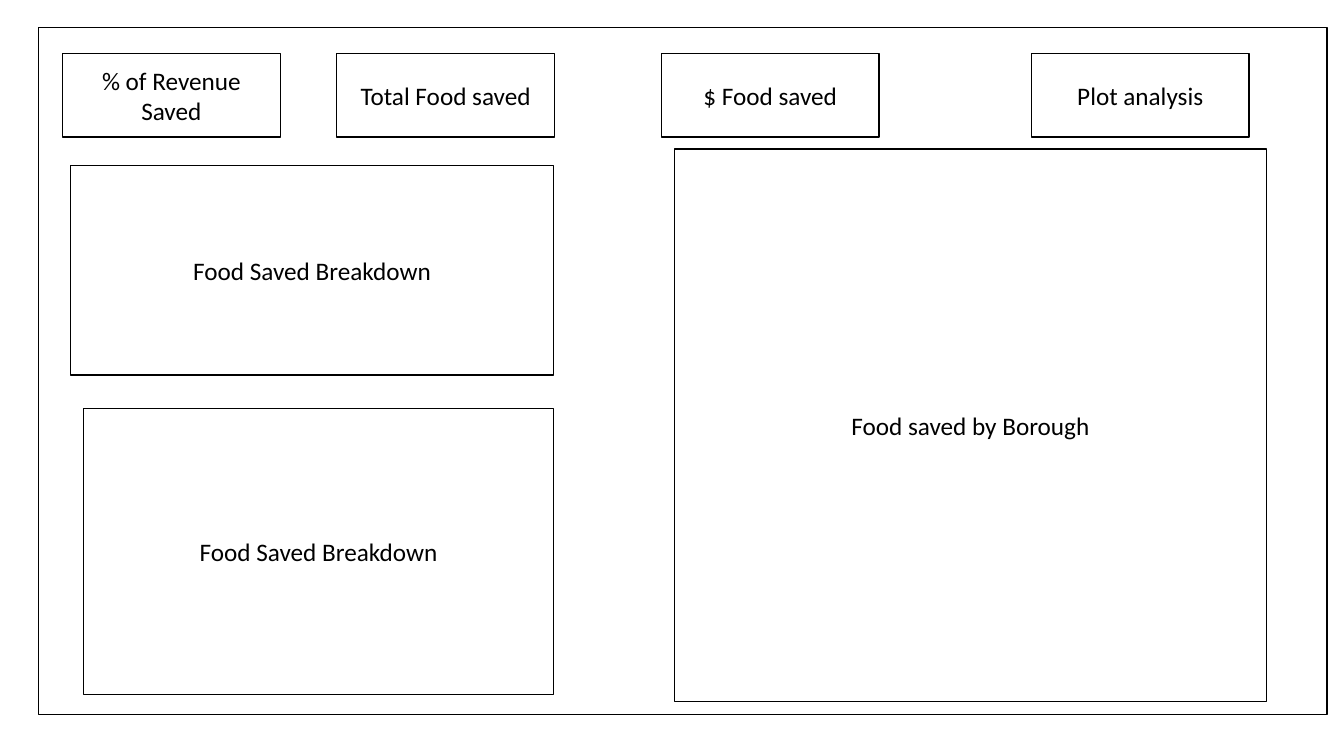
from pptx import Presentation
from pptx.dml.color import RGBColor
from pptx.enum.shapes import MSO_SHAPE
from pptx.enum.text import MSO_ANCHOR, PP_ALIGN
from pptx.util import Inches, Pt

RECTANGLE = MSO_SHAPE.RECTANGLE
MIDDLE = MSO_ANCHOR.MIDDLE
CENTER = PP_ALIGN.CENTER

COLORS = {"panel": "FFFFFF", "ink": "000000"}
FONT = "Calibri"

FRAME = (0.38, 0.27, 12.78, 6.82)
CARD_ROW = (0.24, 0.26, 2.16, 0.83)
CARDS = [
    (0, "% of Revenue Saved"),
    (2.72, "Total Food saved"),
    (5.94, "$ Food saved"),
    (9.61, "Plot analysis"),
]
CHART_PANELS = [
    ((6.31, 1.21, 5.87, 5.48), "Food saved by Borough"),
    ((0.32, 1.37, 4.79, 2.08), "Food Saved Breakdown"),
    ((0.45, 3.78, 4.66, 2.84), "Food Saved Breakdown"),
]


def add_panel(slide, box, label=""):
    """Draw an outlined rectangle with an optional centred label."""
    shape = slide.shapes.add_shape(RECTANGLE, *map(Inches, box))
    shape.shadow.inherit = False
    shape.fill.solid()
    shape.fill.fore_color.rgb = RGBColor.from_string(COLORS["panel"])
    shape.line.color.rgb = RGBColor.from_string(COLORS["ink"])
    shape.line.width = Pt(1)
    if label:
        text_frame = shape.text_frame
        text_frame.word_wrap = True
        text_frame.vertical_anchor = MIDDLE
        paragraph = text_frame.paragraphs[0]
        paragraph.text = label
        paragraph.alignment = CENTER
        paragraph.font.name = FONT
        paragraph.font.size = Pt(18)
        paragraph.font.color.rgb = RGBColor.from_string(COLORS["ink"])


def add_card_row(slide, box):
    """Place the metric cards along the top of the given frame."""
    left, top, width, height = CARD_ROW
    for offset, label in CARDS:
        add_panel(slide, (box[0] + left + offset, box[1] + top, width, height), label)


def add_chart_panels(slide, box):
    """Place the chart areas inside the given frame."""
    for (left, top, width, height), label in CHART_PANELS:
        add_panel(slide, (box[0] + left, box[1] + top, width, height), label)


def add_dashboard(slide, box):
    """Draw the dashboard frame with its cards and chart areas."""
    add_panel(slide, box)
    add_card_row(slide, box)
    add_chart_panels(slide, box)


def main():
    """Build and save the dashboard wireframe."""
    presentation = Presentation()
    presentation.slide_width = Inches(13.33)
    presentation.slide_height = Inches(7.5)
    slide = presentation.slides.add_slide(presentation.slide_layouts[6])
    add_dashboard(slide, FRAME)
    presentation.save("out.pptx")


if __name__ == "__main__":
    main()
